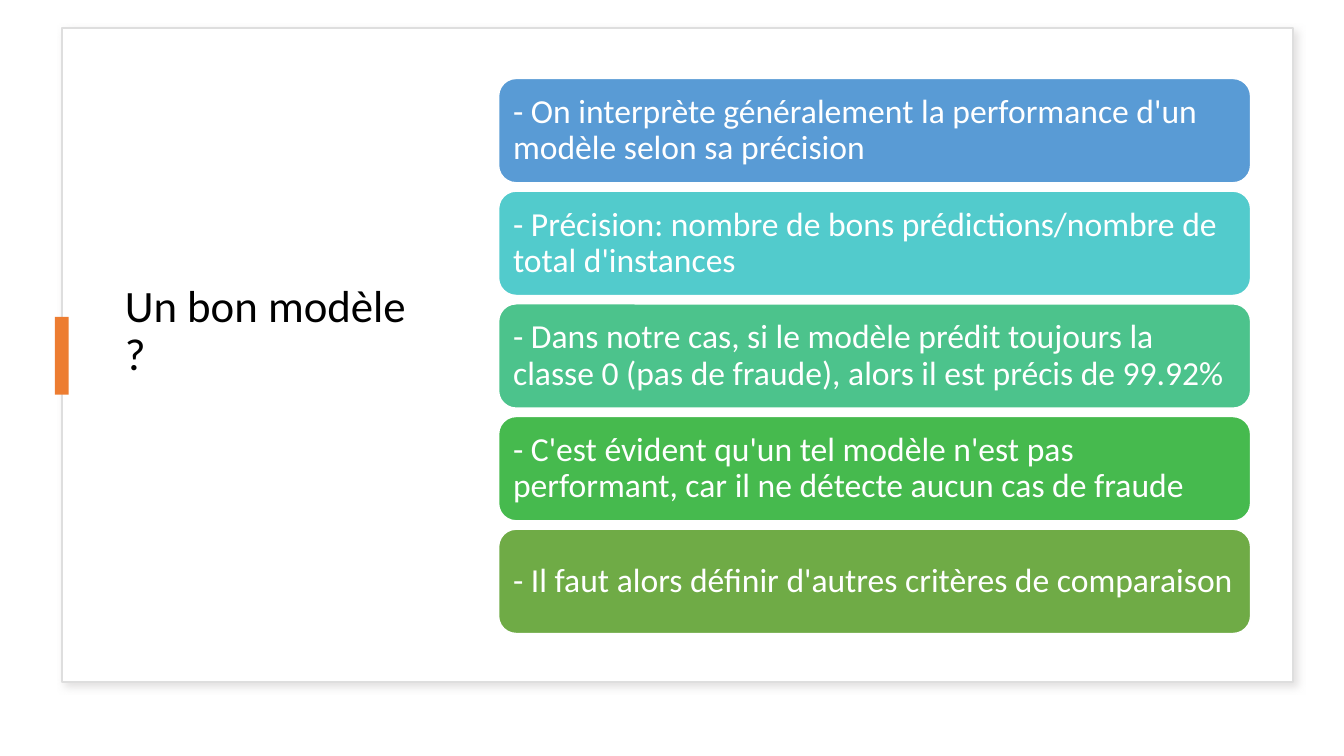
from dataclasses import dataclass

from lxml.etree import SubElement
from pptx import Presentation
from pptx.dml.color import RGBColor as Rgb
from pptx.enum.shapes import MSO_SHAPE as Shape
from pptx.enum.text import MSO_ANCHOR as Anchor, PP_ALIGN as Align
from pptx.oxml.ns import qn
from pptx.util import Cm, Pt


@dataclass(frozen=True)
class Theme:
    font: str = "Calibri"
    title_size: int = 24
    card_size: int = 18
    line_spacing: float = 0.9
    white: str = "FFFFFF"
    black: str = "000000"
    border: str = "DEDEDE"
    shadow: str = "C5C2C2"
    accent: str = "ED7D31"
    cards: tuple = ("599BD5", "52CBCC", "4CC38C", "46BA4E", "6FAB46")


class SlideBuilder:
    def __init__(self, slide, theme):
        self.slide = slide
        self.theme = theme

    def shape(self, kind, area, fill, line=None):
        shape = self.slide.shapes.add_shape(kind, *map(Cm, area))
        shape.shadow.inherit = False
        shape.fill.solid()
        shape.fill.fore_color.rgb = Rgb.from_string(fill)
        if line:
            shape.line.color.rgb = Rgb.from_string(line)
            shape.line.width = Pt(1)
        else:
            shape.line.fill.background()
        return shape

    def add_text(self, shape, text, size, color, insets):
        frame = shape.text_frame
        frame.word_wrap = True
        frame.vertical_anchor = Anchor.MIDDLE
        (frame.margin_left, frame.margin_top,
         frame.margin_right, frame.margin_bottom) = map(Cm, insets)
        para = frame.paragraphs[0]
        para.alignment = Align.LEFT
        para.line_spacing = self.theme.line_spacing
        span = para.add_run()
        span.text = text
        span.font.name = self.theme.font
        span.font.size = Pt(size)
        span.font.color.rgb = Rgb.from_string(color)

    def panel(self, area):
        panel = self.shape(Shape.RECTANGLE, area, self.theme.white, self.theme.border)
        effects = panel._element.spPr.find(qn("a:effectLst"))
        shadow = SubElement(effects, qn("a:outerShdw"), blurRad=str(Pt(4)),
                            dist=str(Pt(3)), dir="2700000", algn="tl", rotWithShape="0")
        color = SubElement(shadow, qn("a:srgbClr"), val=self.theme.shadow)
        SubElement(color, qn("a:alpha"), val="50000")

    def title(self, text, area):
        box = self.slide.shapes.add_textbox(*map(Cm, area))
        self.add_text(box, text, self.theme.title_size, self.theme.black, (0.18, 0.1, 0.6, 1.02))

    def accent(self, area):
        self.shape(Shape.RECTANGLE, area, self.theme.accent)

    def card(self, text, fill, area):
        card = self.shape(Shape.ROUNDED_RECTANGLE, area, fill, self.theme.white)
        card.adjustments[0] = 0.17
        self.add_text(card, text, self.theme.card_size, self.theme.white, (0.18,) * 4)


CARD_TEXTS = (
    "- On interprète généralement la performance d'un modèle selon sa précision",
    "- Précision: nombre de bons prédictions/nombre de total d'instances",
    "- Dans notre cas, si le modèle prédit toujours la classe 0 (pas de fraude), "
    "alors il est précis de 99.92%",
    "- C'est évident qu'un tel modèle n'est pas performant, "
    "car il ne détecte aucun cas de fraude",
    "- Il faut alors définir d'autres critères de comparaison",
)
CARD_TOP = 1.48
CARD_HEIGHT = 1.98
CARD_GAP = 0.15


def main():
    deck = Presentation()
    deck.slide_width, deck.slide_height = Cm(25.4), Cm(14.29)
    theme = Theme()
    page = SlideBuilder(deck.slides.add_slide(deck.slide_layouts[6]), theme)

    page.panel((1.17, 0.53, 23.27, 12.37))
    page.title("Un bon modèle ?", (2.18, 1.07, 6.25, 11.33))
    page.accent((1.04, 5.99, 0.26, 1.47))
    for index, (text, fill) in enumerate(zip(CARD_TEXTS, theme.cards)):
        top = CARD_TOP + index * (CARD_HEIGHT + CARD_GAP)
        page.card(text, fill, (9.42, top, 14.22, CARD_HEIGHT))

    deck.save("out.pptx")


if __name__ == "__main__":
    main()
